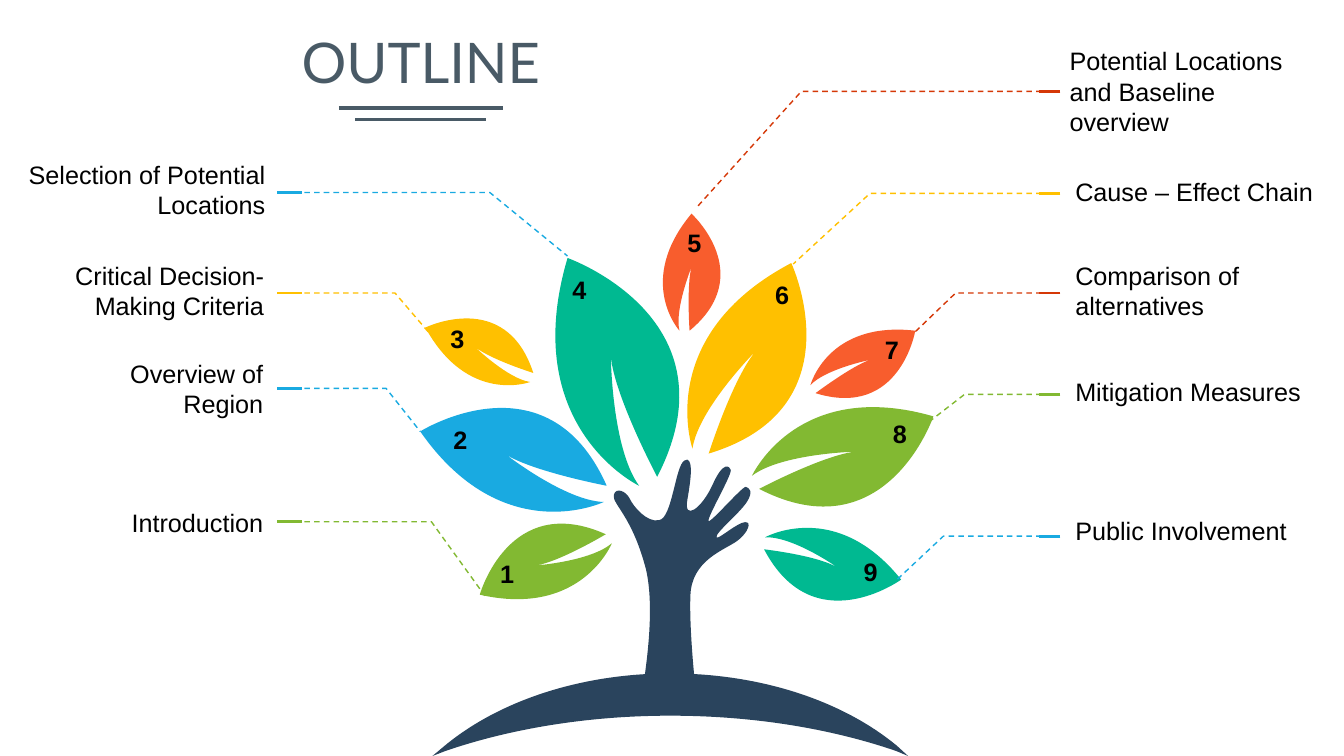
import math

from lxml import etree
from pptx import Presentation
from pptx import util as u
from pptx.dml import color
from pptx.enum import dml, shapes, text
from pptx.oxml import ns

COLORS = {
    "navy": "2A445D", "slate": "495A66", "black": "000000", "blue": "19AAE1",
    "teal": "00B991", "yellow": "FFC000", "green": "82B932",
    "orange": "F85D2D", "red": "D53807",
}

deck = Presentation()
deck.slide_width, deck.slide_height = u.Pt(960), u.Pt(540)
page = deck.slides.add_slide(deck.slide_layouts[6])


def add_text(words, left, top, width, height, size=18, font="Arial", bold=False,
             tint="black", align=text.PP_ALIGN.LEFT, spacing=None, inset=7.2):
    box = page.shapes.add_textbox(u.Pt(left), u.Pt(top), u.Pt(width), u.Pt(height))
    frame = box.text_frame
    frame.word_wrap = True
    frame.vertical_anchor = text.MSO_ANCHOR.MIDDLE
    frame.margin_left = frame.margin_right = u.Pt(inset)
    para = frame.paragraphs[0]
    para.alignment = align
    para.line_spacing = spacing
    span = para.add_run()
    span.text = words
    span.font.name, span.font.size, span.font.bold = font, u.Pt(size), bold
    span.font.color.rgb = color.RGBColor.from_string(COLORS[tint])


def add_curves(start, segments, tint, left, top, width, height, turn=0):
    builder = page.shapes.build_freeform(u.Pt(left), u.Pt(top), scale=1.0)
    builder.add_line_segments([(u.Pt(left + width), u.Pt(top + height))])
    shape = builder.convert_to_shape()
    outline = shape._element.find(".//" + ns.qn("a:path"))
    for child in list(outline):
        outline.remove(child)
    cos, sin = math.cos(math.radians(turn)), math.sin(math.radians(turn))
    for kind, values in [("moveTo", start)] + [
            ("lnTo" if len(segment) == 2 else "cubicBezTo", segment) for segment in segments]:
        command = etree.SubElement(outline, ns.qn("a:" + kind))
        for x, y in zip(values[::2], values[1::2]):
            dx, dy = x - left - width / 2, y - top - height / 2
            etree.SubElement(command, ns.qn("a:pt"),
                             x=str(u.Pt(width / 2 + dx * cos + dy * sin)),
                             y=str(u.Pt(height / 2 - dx * sin + dy * cos)))
    etree.SubElement(outline, ns.qn("a:close"))
    shape.rotation = turn
    shape.shadow.inherit = False
    shape.fill.solid()
    shape.fill.fore_color.rgb = color.RGBColor.from_string(COLORS[tint])
    shape.line.fill.background()
    return shape


tree = [add_curves((491, 328.3), [
    (495.4, 329.8, 493.2, 344.2, 491, 357.1),
    (488.2, 372.2, 501.1, 363.6, 509, 346.3),
    (517, 328.3, 521.3, 333.4, 522, 335.5),
    (523.4, 338.4, 504.7, 370.1, 506.2, 372.2),
    (507.6, 373.7, 530.6, 347, 532.8, 347.8),
    (535, 348.5, 538.6, 350.6, 533.5, 358.6),
    (527.8, 367.2, 510.5, 380.9, 511.9, 383.8),
    (512.6, 385.9, 527, 373, 532.1, 373),
    (537.1, 372.2, 535, 380.2, 526.3, 386.6),
    (517, 393.1, 493.9, 400.3, 493.2, 425.5),
    (492.5, 442.8, 494.6, 469.4, 496.1, 484.6),
    (496.1, 485.3), (460.1, 485.3), (460.8, 481),
    (463.7, 459.4, 466.6, 429.1, 461.5, 406.8),
    (451.4, 367.9, 437, 360, 438.5, 353.5),
    (439.9, 347.8, 447.1, 350.6, 450, 356.4),
    (452.2, 361.4, 462.2, 373.7, 470.9, 371.5),
    (480.2, 370.1, 482.4, 332.6, 488.9, 329),
    (489.6, 328.3, 490.3, 328.3, 491, 328.3),
], "navy", 438.5, 328.3, 97.9, 157)]

leaves = [
    ("blue", (303.8, 252, 138.2, 137.5, 31.4),
     [(431.3, 358.6), (359.3, 393.1), (300.2, 308.2), (391, 251.3),
      (433.4, 347), (380.9, 337), (361.4, 324.7), (403.9, 357.8)]),
    ("teal", (364.3, 180, 167.8, 167, 82.7),
     [(456.5, 347), (369.4, 305.3), (405.4, 184.3), (527.8, 227.5),
      (469.4, 340.6), (439.2, 283.7), (436.3, 254.9), (437, 320.4)]),
    ("yellow", (468, 190.1, 147.6, 147.6, 128.3),
     [(494.6, 320.4), (466.6, 239.8), (565.2, 187.9), (613.4, 291.6),
      (506.2, 324), (523.4, 270), (540, 250.6), (499, 291.6)]),
    ("green", (536.4, 265.7, 134.6, 133.9, 172.4),
     [(537.1, 339.8), (569.5, 269.3), (666.7, 297.4), (632.9, 396),
      (542.2, 349.2), (587.5, 325.4), (610.6, 322.6), (558, 324)]),
    ("teal", (540.7, 358.6, 99.4, 99.4, 207.3),
     [(546.5, 383.8), (596.9, 355.7), (643.7, 414), (581, 459.4),
      (545.8, 392.4), (583.9, 396.7), (598.3, 405.4), (566.6, 383)]),
    ("green", (338.4, 347, 99.4, 99.4, 349.2),
     [(437, 388.1), (415.4, 441.4), (342.7, 424.8), (363.6, 350.6),
      (432.7, 381.6), (400.3, 401), (383, 403.9), (421.9, 401)]),
    ("yellow", (305.3, 205.2, 82.8, 82.8, 37.4),
     [(378.7, 272.9), (334.1, 289.4), (303.8, 234), (361.4, 205.9),
      (380.9, 266.4), (350.6, 257), (339.1, 247.7), (362.9, 270.7)]),
    ("orange", (456.5, 155.5, 82.8, 82.8, 105.9),
     [(485.3, 236.2), (453.6, 200.9), (493.9, 152.6), (541.4, 195.8),
      (492.5, 236.2), (490.3, 204.5), (493.9, 190.8), (481.7, 221)]),
    ("orange", (576.7, 222.5, 82.8, 82.8, 162.9),
     [(578.9, 275), (591.1, 229), (653.8, 236.2), (643, 299.5),
      (582.5, 280.8), (608.4, 261.4), (621.4, 257), (589.7, 263.5)]),
]
for tint, frame, nodes in leaves:
    ends, bends = nodes[::2], nodes[1::2]
    curves = [begin + bend + end for begin, bend, end in zip(ends, bends, ends[1:] + ends[:1])]
    tree.append(add_curves(ends[0], curves, tint, *frame))

tree.append(add_curves((478.8, 481), [
    (544.3, 481, 602.6, 501.1, 640.8, 532.8), (648.7, 540), (640.1, 536.4),
    (594, 520.6, 538.6, 511.2, 478.8, 511.2),
    (419.8, 511.2, 364.3, 520.6, 318.2, 536.4), (308.9, 540), (317.5, 532.8),
    (355.7, 501.1, 414, 481, 478.8, 481),
], "navy", 308.9, 481, 339.8, 59))
page.shapes.add_group_shape(tree)

RIGHT, LEFT = text.PP_ALIGN.RIGHT, text.PP_ALIGN.LEFT
topics = [
    ("Introduction", RIGHT, "green", 372.7, 308.2, (346.3, 425.5), (42.5, 354.2, 152.6)),
    ("Overview of Region", RIGHT, "blue", 277.4, 275.8, (300.2, 308.2), (42.5, 258.5, 152.6)),
    ("Critical Decision-Making Criteria", RIGHT, "yellow", 209.3, 282.2, (308.9, 240.5),
     (-7.2, 188.6, 203)),
    ("Selection of Potential Locations", RIGHT, "blue", 137.5, 349.9, (405.4, 182.9),
     (-26.6, 116.8, 223.2)),
    ("Potential Locations and Baseline overview", LEFT, "red", 65.3, 572.4, (497.5, 148.3),
     (756.9, 46.3, 193)),
    ("Cause – Effect Chain", LEFT, "yellow", 138.2, 621.4, (566.6, 188.6), (761, 118.1, 198)),
    ("Comparison of alternatives", LEFT, "red", 209.3, 682.6, (653.8, 236.9),
     (761, 188.6, 186.5)),
    ("Mitigation Measures", LEFT, "green", 281.7, 689, (663.1, 301.7), (761, 260.6, 186.5)),
    ("Public Involvement", LEFT, "blue", 383, 673.9, (640.8, 414), (761, 360, 186.5)),
]
rules = []
for words, align, tint, level, elbow, tip, place in topics:
    begin, tick = (217.4, (198, 216)) if align == RIGHT else (751, (757.4, 742.3))
    builder = page.shapes.build_freeform(u.Pt(begin), u.Pt(level), scale=1.0)
    builder.add_line_segments([(u.Pt(elbow), u.Pt(level)), (u.Pt(tip[0]), u.Pt(tip[1]))],
                              close=False)
    leader = builder.convert_to_shape()
    leader.shadow.inherit = False
    leader.fill.background()
    leader.line.color.rgb = color.RGBColor.from_string(COLORS[tint])
    leader.line.width = u.Pt(1)
    leader.line.dash_style = dml.MSO_LINE.DASH
    rules.append((*tick, level, tint, 2))
    add_text(words, *place, 37.4, align=align)

numbers = [(347.8, 391), (316.8, 294.3), (314.6, 221.8), (401.8, 186.7), (484, 153.4),
           (546.5, 190.3), (625, 229.7), (630.7, 289.6), (609.8, 388.6)]
for number, (left, top) in enumerate(numbers, 1):
    width, height = (26.6, 37.4) if number == 1 else (20.9, 39.6)
    add_text(str(number), left, top, width, height, bold=True, align=RIGHT)

add_text("OUTLINE", 154.8, 18.7, 291.6, 56.2, size=40, font="Lato", tint="slate",
         align=text.PP_ALIGN.CENTER, spacing=0.9, inset=2.9)

rules += [(242, 359.3, 77.2, "slate", 2.25), (253.9, 347, 85.2, "slate", 2.25)]
for x1, x2, level, tint, weight in rules:
    rule = page.shapes.add_connector(shapes.MSO_CONNECTOR.STRAIGHT,
                                     u.Pt(x1), u.Pt(level), u.Pt(x2), u.Pt(level))
    rule.line.color.rgb = color.RGBColor.from_string(COLORS[tint])
    rule.line.width = u.Pt(weight)
    etree.SubElement(rule._element.spPr, ns.qn("a:effectLst"))

deck.save("out.pptx")
